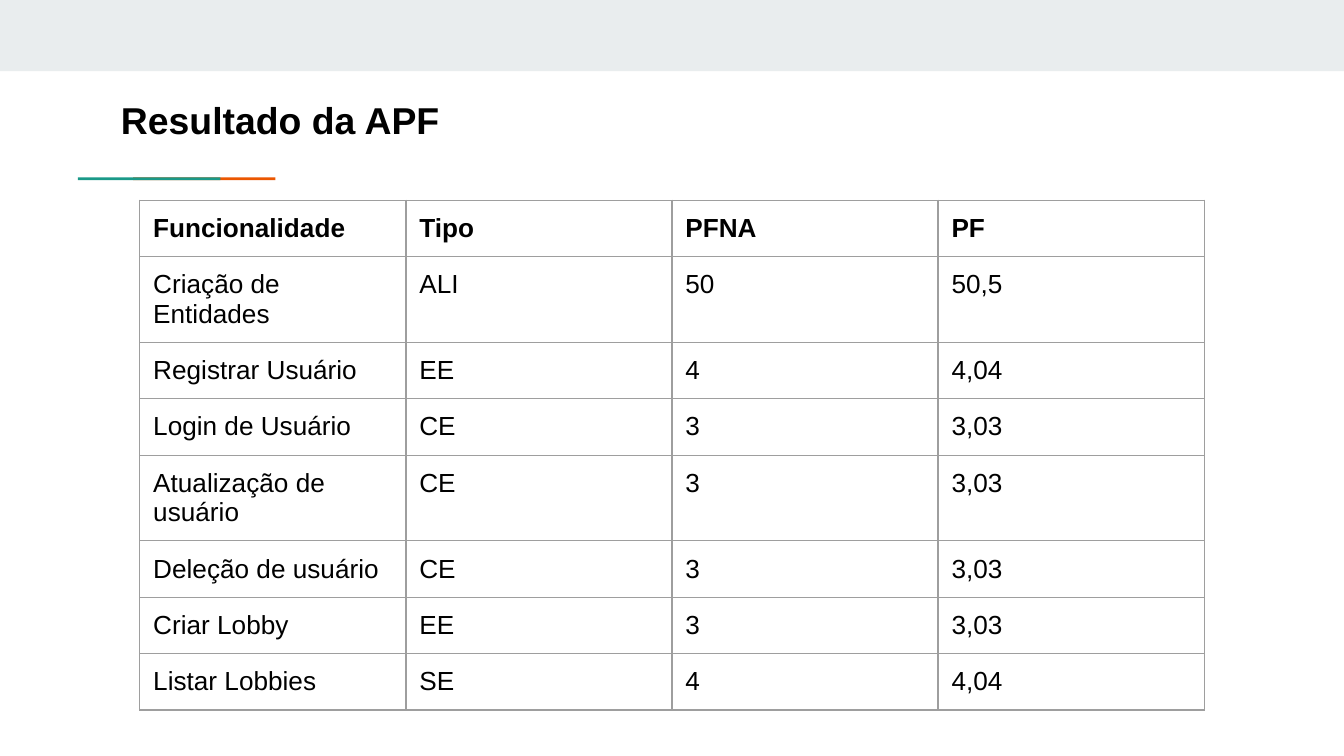
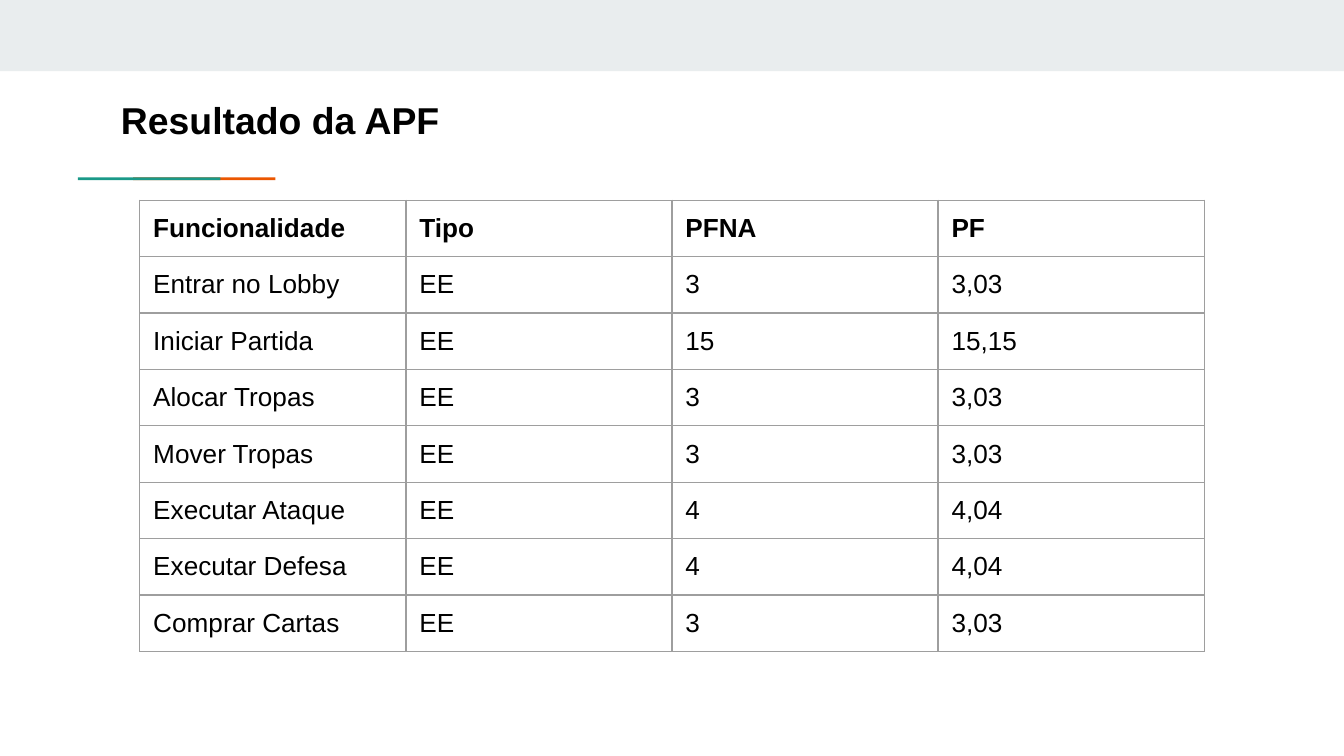
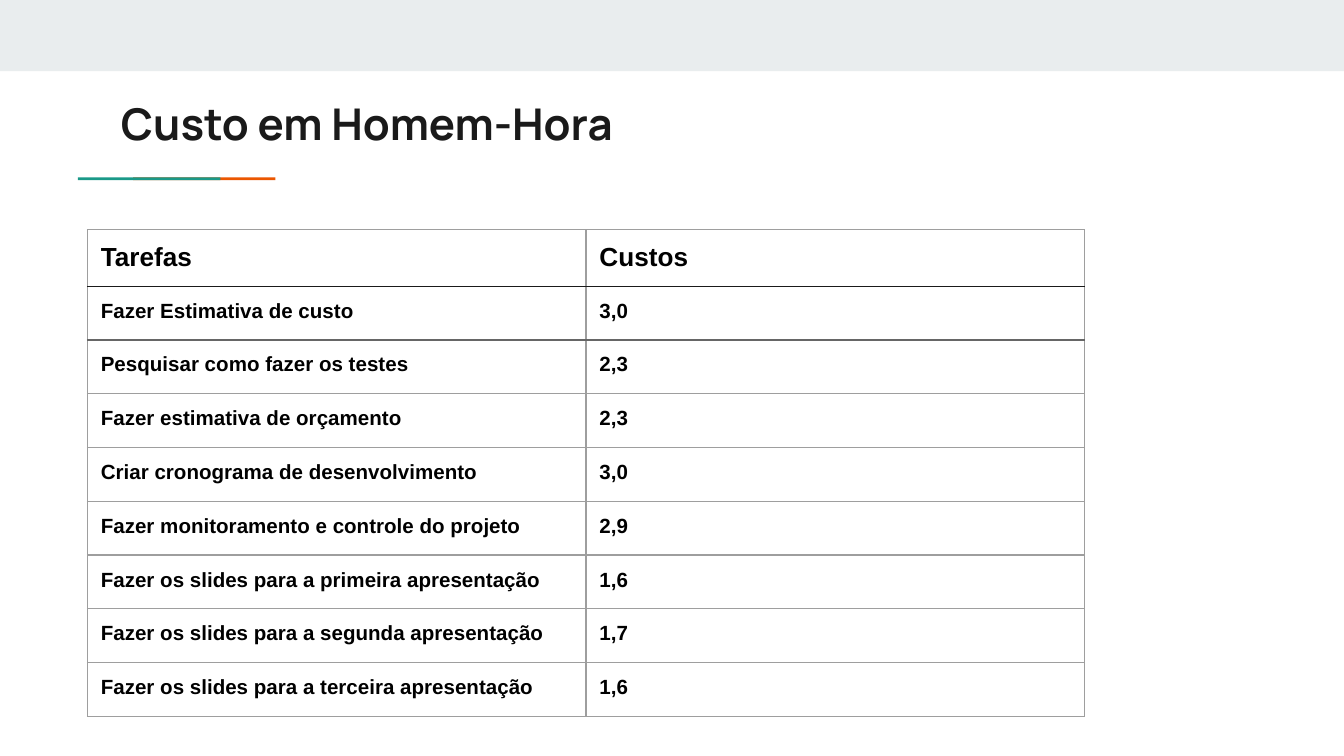
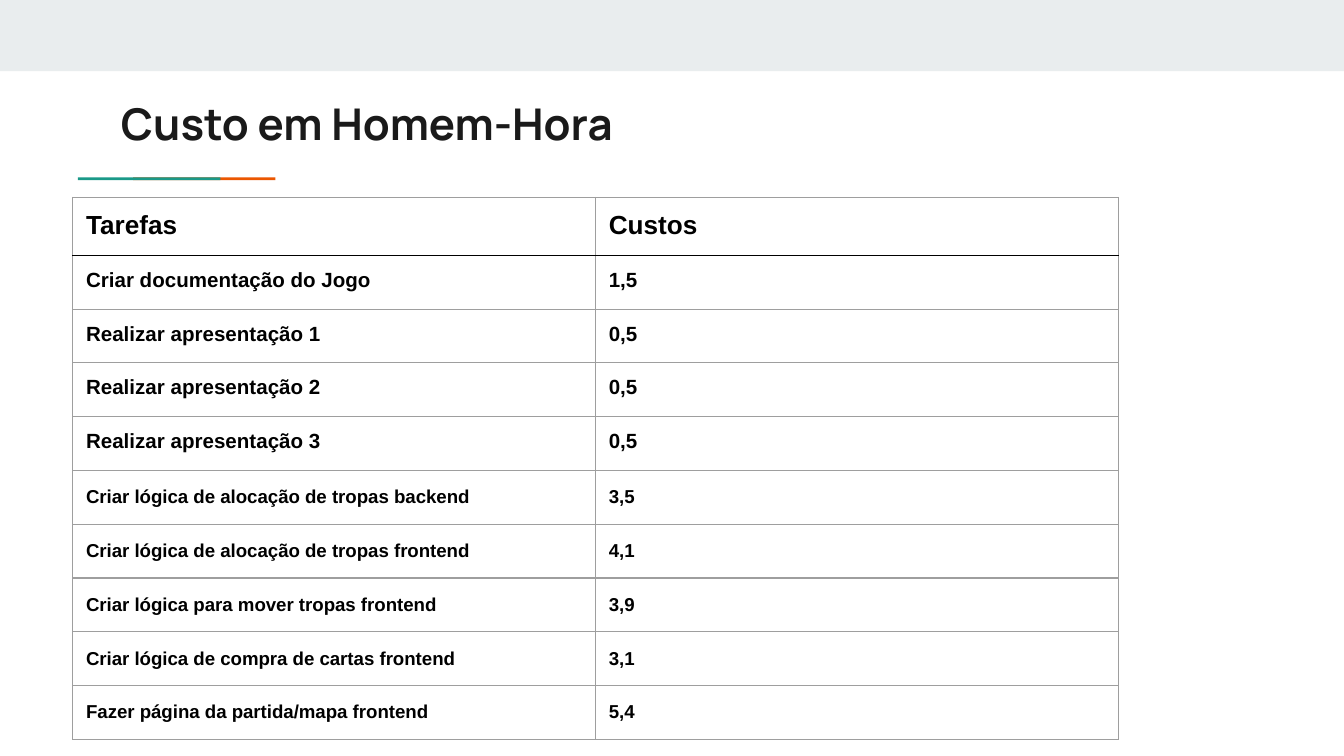
from dataclasses import dataclass, field

from lxml import etree
from pptx import Presentation
from pptx import util as u
from pptx.dml.color import RGBColor
from pptx.enum import shapes, text
from pptx.oxml import ns

COLORS = {
    "band": "E9EDEE",
    "orange": "EB5600",
    "teal": "1A9988",
    "black": "000000",
    "ink": "1A1A1A",
    "gray": "666666",
    "grid": "9E9E9E",
}
SLIDE_WIDTH = u.Inches(10)
SLIDE_HEIGHT = SLIDE_WIDTH * 9 // 16
INSET = u.Inches(0.1)
RULE_WIDTH = u.Pt(0.75)


@dataclass(frozen=True)
class TextStyle:
    size: float
    font: str = "Arial"
    color: str = "black"
    bold: bool = True
    line_spacing: float | None = None
    anchor: text.MSO_ANCHOR = text.MSO_ANCHOR.TOP


@dataclass(frozen=True)
class Bar:
    left: float
    top: float
    width: float
    height: float
    color: str


@dataclass(frozen=True)
class TableRow:
    cells: tuple[str, ...]
    style: TextStyle


@dataclass(frozen=True)
class TableSlide:
    title: str
    title_style: TextStyle
    left: float
    top: float
    column_width: float
    header_height: float
    row_height: float
    rows: list[TableRow]
    # Colour of the rule above a row, where it differs from the grid
    rules: dict[int, str] = field(default_factory=dict)


# Shared look: top band, then the two overlapping accent strokes
BARS = [
    Bar(0, 0, 10, 0.53, "band"),
    Bar(0.99, 1.32, 1.06, 0.02, "orange"),
    Bar(0.58, 1.32, 1.06, 0.02, "teal"),
]
APF_TITLE = TextStyle(20)
COST_TITLE = TextStyle(23.4, "Manrope", "ink", anchor=text.MSO_ANCHOR.MIDDLE)
HEADER = TextStyle(14)
FUNCTION = TextStyle(14, bold=False)
TASK = TextStyle(11)
CODING_TASK = TextStyle(10, line_spacing=1.15)


def table_rows(style: TextStyle, *rows: tuple[str, ...]) -> list[TableRow]:
    return [TableRow(cells, style) for cells in rows]


APF_HEADER = table_rows(HEADER, ("Funcionalidade", "Tipo", "PFNA", "PF"))
COST_HEADER = table_rows(HEADER, ("Tarefas", "Custos"))


def apf_slide(*functions: tuple[str, ...]) -> TableSlide:
    return TableSlide("Resultado da APF", APF_TITLE, 1.04, 1.49, 1.98, 0.42, 0.42,
                      APF_HEADER + table_rows(FUNCTION, *functions))


def cost_slide(left: float, top: float, column_width: float, header_height: float,
               tasks: list[TableRow], rules: dict[int, str]) -> TableSlide:
    return TableSlide("Custo em Homem-Hora", COST_TITLE, left, top, column_width,
                      header_height, 0.4, COST_HEADER + tasks, rules)


# Content
SLIDES = [
    apf_slide(
        ("Criação de Entidades", "ALI", "50", "50,5"),
        ("Registrar Usuário", "EE", "4", "4,04"),
        ("Login de Usuário", "CE", "3", "3,03"),
        ("Atualização de usuário", "CE", "3", "3,03"),
        ("Deleção de usuário", "CE", "3", "3,03"),
        ("Criar Lobby", "EE", "3", "3,03"),
        ("Listar Lobbies", "SE", "4", "4,04"),
    ),
    apf_slide(
        ("Entrar no Lobby", "EE", "3", "3,03"),
        ("Iniciar Partida", "EE", "15", "15,15"),
        ("Alocar Tropas", "EE", "3", "3,03"),
        ("Mover Tropas", "EE", "3", "3,03"),
        ("Executar Ataque", "EE", "4", "4,04"),
        ("Executar Defesa", "EE", "4", "4,04"),
        ("Comprar Cartas", "EE", "3", "3,03"),
    ),
    cost_slide(0.65, 1.71, 3.71, 0.42, table_rows(
        TASK,
        ("Fazer Estimativa de custo", "3,0"),
        ("Pesquisar como fazer os testes", "2,3"),
        ("Fazer estimativa de orçamento", "2,3"),
        ("Criar cronograma de desenvolvimento", "3,0"),
        ("Fazer monitoramento e controle do projeto", "2,9"),
        ("Fazer os slides para a primeira apresentação", "1,6"),
        ("Fazer os slides para a segunda apresentação", "1,7"),
        ("Fazer os slides para a terceira apresentação", "1,6"),
    ), {1: "ink", 2: "gray"}),
    cost_slide(0.54, 1.47, 3.89, 0.43, table_rows(
        TASK,
        ("Criar documentação do Jogo", "1,5"),
        ("Realizar apresentação 1", "0,5"),
        ("Realizar apresentação 2", "0,5"),
        ("Realizar apresentação 3", "0,5"),
    ) + table_rows(
        CODING_TASK,
        ("Criar lógica de alocação de tropas backend", "3,5"),
        ("Criar lógica de alocação de tropas frontend", "4,1"),
        ("Criar lógica para mover tropas frontend", "3,9"),
        ("Criar lógica de compra de cartas frontend", "3,1"),
        ("Fazer página da partida/mapa frontend", "5,4"),
    ), {1: "black"}),
]


def rgb(color: str) -> RGBColor:
    return RGBColor.from_string(COLORS[color])


def write(frame, content: str, style: TextStyle) -> None:
    paragraph = frame.paragraphs[0]
    paragraph.alignment = text.PP_ALIGN.LEFT
    if style.line_spacing:
        paragraph.line_spacing = style.line_spacing
    run = paragraph.add_run()
    run.text = content
    run.font.size = u.Pt(style.size)
    run.font.name = style.font
    run.font.bold = style.bold
    run.font.color.rgb = rgb(style.color)


def set_insets(box) -> None:
    box.margin_left = box.margin_right = box.margin_top = box.margin_bottom = INSET


def draw_bar(slide, bar: Bar) -> None:
    stroke = slide.shapes.add_shape(
        shapes.MSO_SHAPE.RECTANGLE, u.Inches(bar.left), u.Inches(bar.top),
        u.Inches(bar.width), u.Inches(bar.height))
    stroke.shadow.inherit = False
    stroke.fill.solid()
    stroke.fill.fore_color.rgb = rgb(bar.color)
    stroke.line.fill.background()


def draw_title(slide, content: str, style: TextStyle) -> None:
    title = slide.shapes.title
    title.left, title.top = u.Inches(0.8), u.Inches(0.62)
    title.width, title.height = u.Inches(8.41), u.Inches(0.59)
    frame = title.text_frame
    set_insets(frame)
    frame.word_wrap = True
    frame.auto_size = text.MSO_AUTO_SIZE.NONE
    frame.vertical_anchor = style.anchor
    write(frame, content, style)


def set_borders(cell, top: str, bottom: str) -> None:
    """Lines come before the fill in the cell properties."""
    properties = cell._tc.get_or_add_tcPr()
    sides = {"L": "grid", "R": "grid", "T": top, "B": bottom}
    for position, (side, color) in enumerate(sides.items()):
        line = etree.Element(ns.qn(f"a:ln{side}"), w=str(RULE_WIDTH))
        fill = etree.SubElement(line, ns.qn("a:solidFill"))
        etree.SubElement(fill, ns.qn("a:srgbClr"), val=COLORS[color])
        properties.insert(position, line)


def draw_table(slide, content: TableSlide) -> None:
    row_count, column_count = len(content.rows), len(content.rows[0].cells)
    heights = [content.header_height] + [content.row_height] * (row_count - 1)
    table = slide.shapes.add_table(
        row_count, column_count, u.Inches(content.left), u.Inches(content.top),
        u.Inches(content.column_width * column_count), u.Inches(sum(heights))).table
    table.first_row = table.horz_banding = False
    for column in table.columns:
        column.width = u.Inches(content.column_width)
    for index, (row, height) in enumerate(zip(content.rows, heights)):
        table.rows[index].height = u.Inches(height)
        top, bottom = (content.rules.get(i, "grid") for i in (index, index + 1))
        for cell, value in zip(table.rows[index].cells, row.cells):
            set_insets(cell)
            cell.fill.background()
            set_borders(cell, top, bottom)
            write(cell.text_frame, value, row.style)


def main() -> None:
    deck = Presentation()
    deck.slide_width, deck.slide_height = SLIDE_WIDTH, SLIDE_HEIGHT
    title_only = deck.slide_layouts[5]
    for content in SLIDES:
        slide = deck.slides.add_slide(title_only)
        for bar in BARS:
            draw_bar(slide, bar)
        draw_title(slide, content.title, content.title_style)
        draw_table(slide, content)
    deck.save("out.pptx")


if __name__ == "__main__":
    main()
